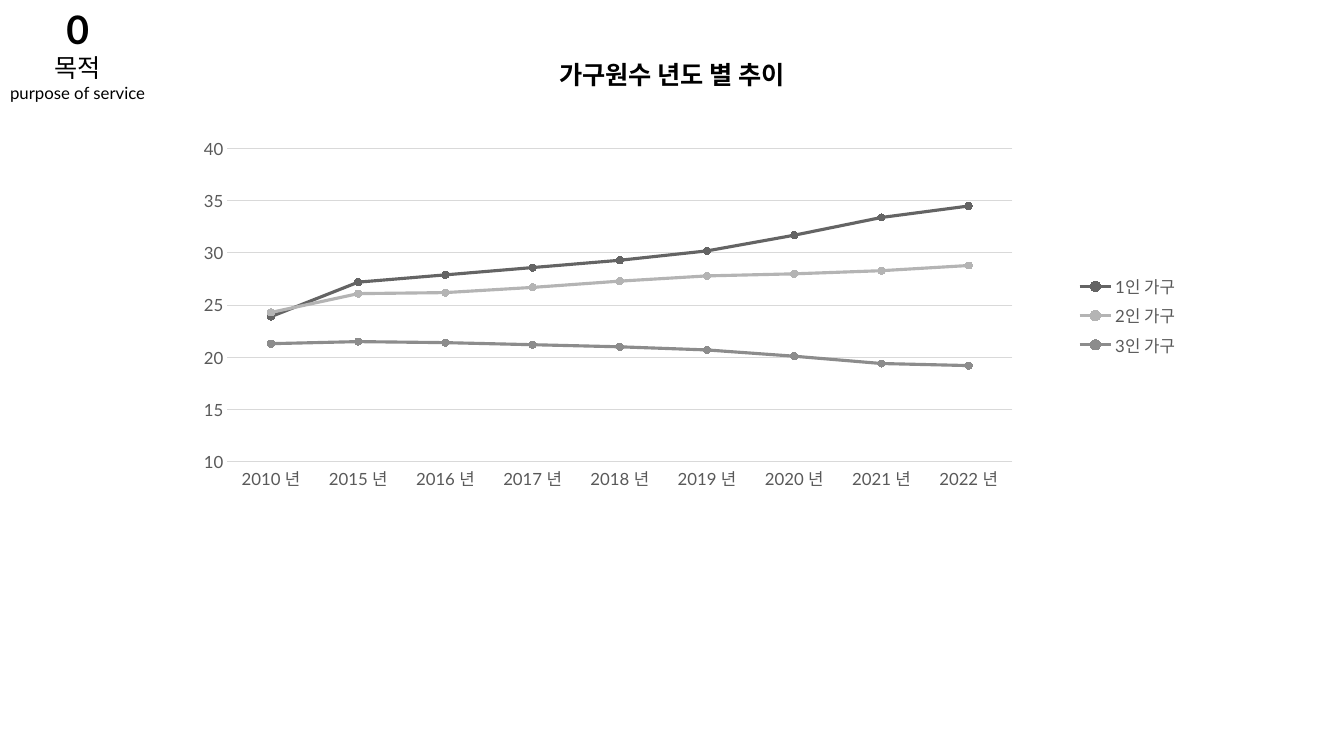
from dataclasses import dataclass

from pptx import Presentation
from pptx import util as u
from pptx.chart import data as chart_data
from pptx.dml.color import RGBColor
from pptx.enum import chart as ch, text
from pptx.oxml import ns, parse_xml


@dataclass(frozen=True)
class Theme:
    font: str = "Lato"
    ink: str = "000000"
    label: str = "595959"
    grid: str = "D9D9D9"
    series: tuple = ("646464", "B4B4B4", "8C8C8C")
    number: int = 28
    title: int = 18
    small: int = 12
    chart: int = 10


THEME = Theme()
YEARS = [2010, *range(2015, 2023)]
HOUSEHOLDS = {
    "1인 가구": [23.9, 27.2, 27.9, 28.6, 29.3, 30.2, 31.7, 33.4, 34.5],
    "2인 가구": [24.3, 26.1, 26.2, 26.7, 27.3, 27.8, 28, 28.3, 28.8],
    "3인 가구": [21.3, 21.5, 21.4, 21.2, 21, 20.7, 20.1, 19.4, 19.2],
}


def set_font(font, size, color, bold=None):
    font.name, font.size, font.bold = THEME.font, u.Pt(size), bold
    font.color.rgb = RGBColor.from_string(color)


def set_line(line, color, width):
    line.color.rgb = RGBColor.from_string(color)
    line.width = u.Pt(width)


def add_label(s, box, lines):
    """Place centred lines of (wording, size, bold) as one paragraph."""
    tf = s.shapes.add_textbox(*map(u.Inches, box)).text_frame
    tf.word_wrap = False
    tf.auto_size = text.MSO_AUTO_SIZE.SHAPE_TO_FIT_TEXT
    p = tf.paragraphs[0]
    p.alignment = text.PP_ALIGN.CENTER
    for i, (wording, size, bold) in enumerate(lines):
        if i:
            p.add_line_break()
        r = p.add_run()
        r.text = wording
        set_font(r.font, size, THEME.ink, bold)


def set_layout(parent, index, area, inner=False):
    """Fix a chart part at x, y, w, h, as fractions of the chart."""
    for old in parent.findall(ns.qn("c:layout")):
        parent.remove(old)
    target = '<c:layoutTarget val="inner"/>' if inner else ""
    modes = '<c:xMode val="edge"/><c:yMode val="edge"/>'
    sizes = "".join(f'<c:{k} val="{v}"/>' for k, v in zip("xywh", area))
    parent.insert(index, parse_xml(
        f'<c:layout {ns.nsdecls("c")}><c:manualLayout>'
        f'{target}{modes}{sizes}</c:manualLayout></c:layout>'))


def add_household_chart(s, box):
    data = chart_data.CategoryChartData()
    data.categories = [f"{year} 년" for year in YEARS]
    for name, values in HOUSEHOLDS.items():
        data.add_series(name, values)
    chart = s.shapes.add_chart(
        ch.XL_CHART_TYPE.LINE_MARKERS, *map(u.Inches, box), data).chart
    set_font(chart.font, THEME.chart, THEME.ink)
    chart.has_title = False

    # Axes and gridlines
    for axis in (chart.category_axis, chart.value_axis):
        axis.major_tick_mark = axis.minor_tick_mark = ch.XL_TICK_MARK.NONE
        set_font(axis.tick_labels.font, THEME.small, THEME.label)
    set_line(chart.category_axis.format.line, THEME.grid, 0.75)
    values = chart.value_axis
    values.minimum_scale = 10
    values.format.line.fill.background()
    set_line(values.major_gridlines.format.line, THEME.grid, 0.75)
    values.tick_labels.number_format = "General"
    values.tick_labels.number_format_is_linked = False

    # Series
    chart.plots[0].vary_by_categories = False
    for series, color in zip(chart.plots[0].series, THEME.series):
        series.smooth = False
        set_line(series.format.line, color, 2.25)
        marker = series.marker
        marker.style, marker.size = ch.XL_MARKER_STYLE.CIRCLE, 5
        marker.format.fill.solid()
        marker.format.fill.fore_color.rgb = RGBColor.from_string(color)
        set_line(marker.format.line, color, 0.75)

    # Legend, moved to the right of the plot
    chart.has_legend = True
    legend = chart.legend
    legend.position = ch.XL_LEGEND_POSITION.BOTTOM
    legend.include_in_layout = False
    set_font(legend.font, THEME.small, THEME.label)
    legend_pos = chart.element.find(".//" + ns.qn("c:legendPos"))
    set_layout(legend_pos.getparent(), 1, (0.84, 0.33, 0.12, 0.22))
    plot_area = chart.element.find(".//" + ns.qn("c:plotArea"))
    set_layout(plot_area, 0, (0.04, 0.04, 0.75, 0.75), inner=True)


def build_trend_slide(prs):
    s = prs.slides.add_slide(prs.slide_layouts[6])
    # Section marker
    add_label(s, (0, 0, 1.54, 1.08), [
        ("0", THEME.number, True),
        ("목적", THEME.title, False),
        ("purpose of service", THEME.small, False)])
    # Chart and its heading
    add_household_chart(s, (1.84, 1.31, 10.38, 4.14))
    add_label(s, (5.35, 0.54, 2.63, 0.4),
              [("가구원수 년도 별 추이", THEME.title, True)])


def main():
    prs = Presentation()
    prs.slide_width, prs.slide_height = u.Inches(13.33), u.Inches(7.5)
    build_trend_slide(prs)
    prs.save("out.pptx")


if __name__ == "__main__":
    main()
